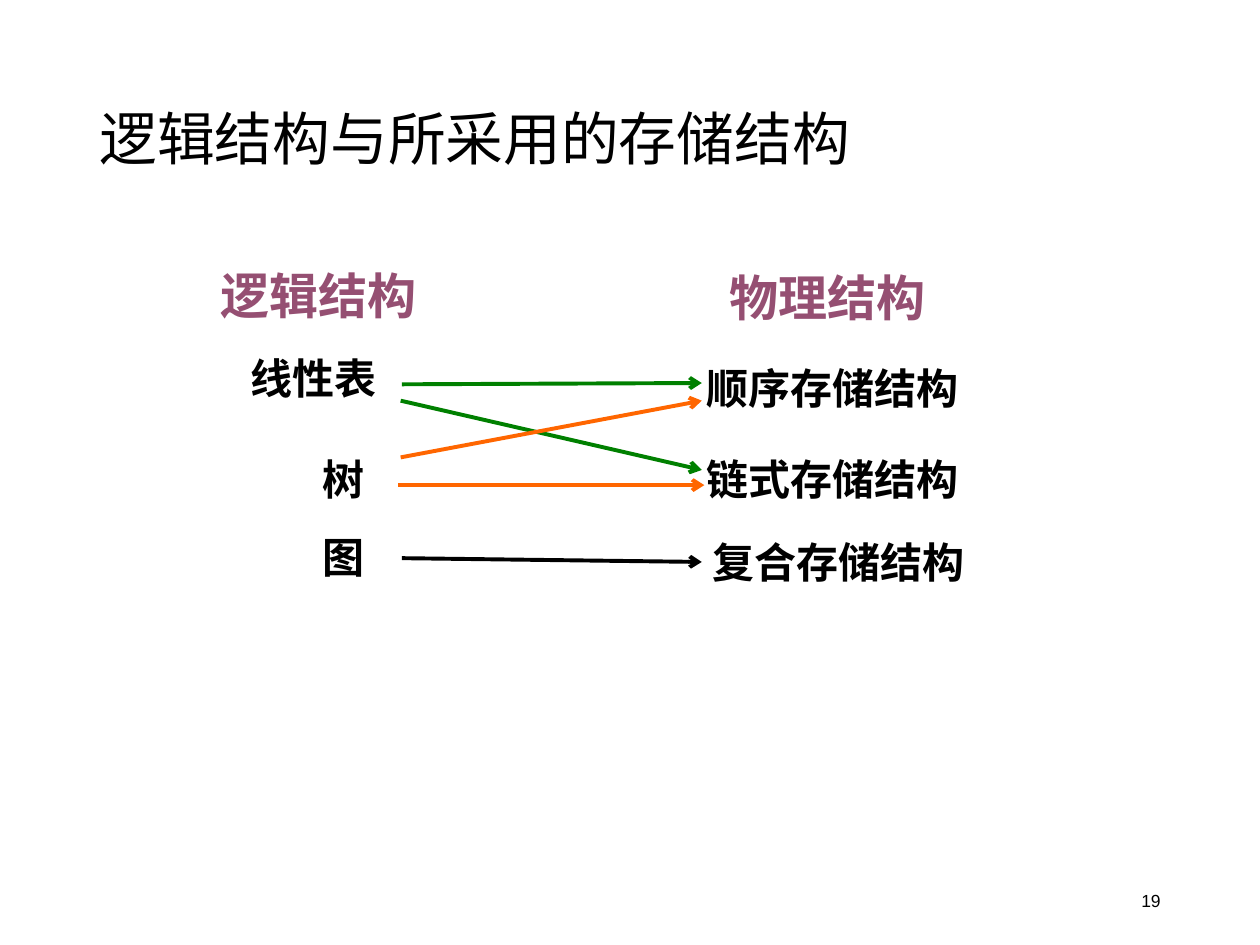
from lxml import etree
from pptx import Presentation
from pptx.dml.color import RGBColor
from pptx.enum.shapes import MSO_CONNECTOR
from pptx.enum.text import MSO_ANCHOR, PP_ALIGN
from pptx.oxml.ns import qn
from pptx.util import Inches, Pt

LEFT, CENTER, RIGHT = PP_ALIGN.LEFT, PP_ALIGN.CENTER, PP_ALIGN.RIGHT
MIDDLE = MSO_ANCHOR.MIDDLE
STRAIGHT = MSO_CONNECTOR.STRAIGHT

BLACK = RGBColor(0x00, 0x00, 0x00)
PLUM = RGBColor(0x95, 0x4F, 0x72)
GREEN = RGBColor(0x00, 0x80, 0x00)
ORANGE = RGBColor(0xFF, 0x66, 0x00)

CJK_FONT = "Noto Sans CJK SC"
TITLE = {"name": CJK_FONT, "size": Pt(33), "bold": False}
NUMBER = {"name": "Arial", "size": Pt(10), "bold": False}
HEADING = {"name": "Times New Roman", "size": Pt(28), "bold": True}
ITEM = {**HEADING, "size": Pt(24)}

presentation = Presentation()
presentation.slide_width = Inches(10)
presentation.slide_height = Inches(7.5)
slide = presentation.slides.add_slide(presentation.slide_layouts[6])

# The slide is a grid of 100 columns by 75 rows
COLUMN = presentation.slide_width / 100
ROW = presentation.slide_height / 75


def place(column, row):
    return round(column * COLUMN), round(row * ROW)


def add_text(shapes, text, box, style, color=BLACK, align=CENTER, wrap=False):
    left, top, width, height = box
    shape = shapes.add_textbox(*place(left, top), *place(width, height))
    frame = shape.text_frame
    frame.word_wrap = wrap
    frame.vertical_anchor = MIDDLE
    if align == CENTER:
        frame.margin_left = frame.margin_right = 0
    paragraph = frame.paragraphs[0]
    paragraph.alignment = align
    run = paragraph.add_run()
    run.text = text
    for name, value in style.items():
        setattr(run.font, name, value)
    run.font.color.rgb = color
    east_asian = etree.SubElement(run.font._element, qn("a:ea"))
    east_asian.set("typeface", CJK_FONT)
    return paragraph


title = add_text(slide.shapes, "逻辑结构与所采用的存储结构",
                 (6.9, 4, 86.3, 14.5), TITLE, align=LEFT, wrap=True)
title.line_spacing = 0.9
add_text(slide.shapes, "19", (70.6, 69.5, 22.5, 4), NUMBER, align=RIGHT, wrap=True)

diagram = slide.shapes.add_group_shape().shapes

logical_structures = [
    ("线性表", 27.9, 13.3, CENTER),
    ("树", 35.9, 11.75, RIGHT),
    ("图", 42.1, 11.75, RIGHT),
]
for text, top, width, align in logical_structures:
    add_text(diagram, text, (18.2, top, width, 4.2), ITEM, align=align)

storage_structures = [
    ("顺序存储结构", 55.9, 28.3),
    ("链式存储结构", 55.9, 35.5),
    ("复合存储结构", 56.4, 42.1),
]
for text, left, top in storage_structures:
    add_text(diagram, text, (left, top, 20.3, 5), ITEM)

headings = [("逻辑结构", 16.9, 20.9), ("物理结构", 57.3, 21.1)]
for text, left, top in headings:
    add_text(diagram, text, (left, top, 16.7, 5), HEADING, PLUM)

arrows = [
    ((31.9, 30.5), (55.7, 30.4), GREEN),
    ((31.8, 31.8), (55.7, 37.3), GREEN),
    ((31.8, 36.3), (55.7, 31.8), ORANGE),
    ((31.9, 44.3), (55.7, 44.6), BLACK),
    ((31.6, 38.5), (55.9, 38.5), ORANGE),
]
for start, end, color in arrows:
    arrow = diagram.add_connector(STRAIGHT, *place(*start), *place(*end))
    arrow.line.color.rgb = color
    arrow.line.width = Pt(2.25)
    line = arrow.line._get_or_add_ln()
    etree.SubElement(line, qn("a:tailEnd")).set("type", "arrow")
    etree.SubElement(arrow._element.spPr, qn("a:effectLst"))

presentation.save("out.pptx")
